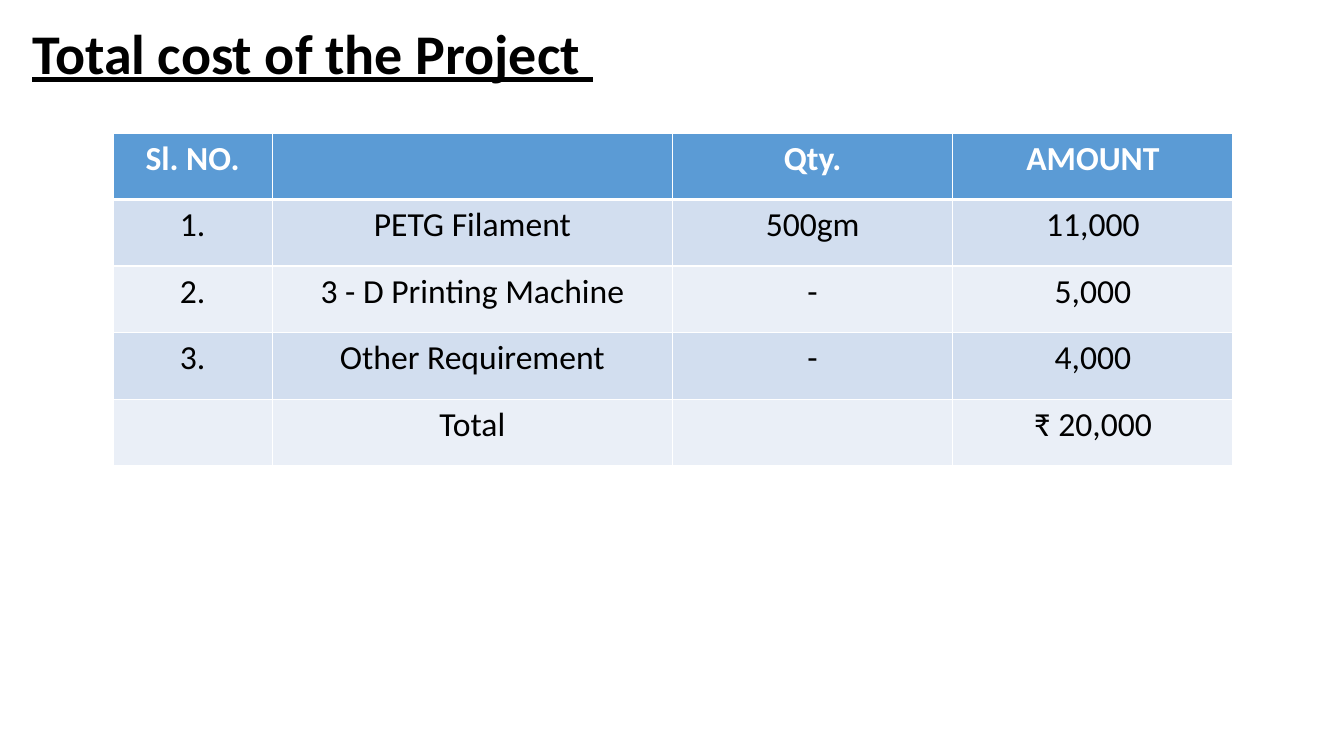
import pptx
import pptx.util
import pptx.dml.color
import pptx.enum.text
import pptx.oxml
import pptx.oxml.ns
from pptx.util import Inches, Pt

RGBColor = pptx.dml.color.RGBColor
PP_ALIGN = pptx.enum.text.PP_ALIGN

# Content
TITLE = "Total cost of the Project "
ROWS = [
    ("Sl. NO.", "", "Qty.", "AMOUNT"),
    ("1.", "PETG Filament", "500gm", "11,000"),
    ("2.", "3 - D Printing Machine", "-", "5,000"),
    ("3.", "Other Requirement", "-", "4,000"),
    ("", "Total", "", "₹ 20,000"),
]

# Look
FONT = "Calibri"
BLACK = RGBColor(0x00, 0x00, 0x00)
WHITE = RGBColor(0xFF, 0xFF, 0xFF)
HEADER = RGBColor(0x5B, 0x9B, 0xD5)
BANDS = [RGBColor(0xEA, 0xEF, 0xF7), RGBColor(0xD2, 0xDE, 0xEF)]

# Grid in inches
TABLE_LEFT, TABLE_TOP = 1.12, 1.32
COL_WIDTHS = [1.58, 3.97, 2.78, 2.78]
ROW_HEIGHT = 0.66


def style(p, size, color, bold, align):
    p.alignment = align
    font = p.font
    font.name, font.size, font.bold = FONT, Pt(size), bold
    font.color.rgb = color


def add_border(cell, side, width):
    ln = pptx.oxml.parse_xml(
        f'<a:ln{side} {pptx.oxml.ns.nsdecls("a")} w="{Pt(width)}">'
        f'<a:solidFill><a:srgbClr val="{WHITE}"/></a:solidFill></a:ln{side}>')
    cell._tc.get_or_add_tcPr().append(ln)


def add_title(s):
    title = s.shapes.title
    title.left, title.top = Inches(0.22), Inches(0.13)
    title.width, title.height = Inches(6.67), Inches(0.77)
    tf = title.text_frame
    tf.text = TITLE
    tf.word_wrap = True
    tf.auto_size = pptx.enum.text.MSO_AUTO_SIZE.SHAPE_TO_FIT_TEXT
    tf.vertical_anchor = pptx.enum.text.MSO_ANCHOR.TOP
    style(tf.paragraphs[0], 40, BLACK, True, PP_ALIGN.LEFT)
    tf.paragraphs[0].font.underline = True


def add_cost_table(s):
    table = s.shapes.add_table(
        len(ROWS), len(COL_WIDTHS), Inches(TABLE_LEFT), Inches(TABLE_TOP),
        Inches(sum(COL_WIDTHS)), Inches(ROW_HEIGHT * len(ROWS))).table
    for column, width in zip(table.columns, COL_WIDTHS):
        column.width = Inches(width)
    for i, row in enumerate(ROWS):
        table.rows[i].height = Inches(ROW_HEIGHT)
        is_header = i == 0
        # The rule under the header is heavier than the rest
        borders = {"L": 1, "R": 1, "T": 3 if i == 1 else 1, "B": 3 if is_header else 1}
        for j, text in enumerate(row):
            cell = table.cell(i, j)
            cell.text = text
            style(cell.text_frame.paragraphs[0], 24,
                  WHITE if is_header else BLACK, is_header, PP_ALIGN.CENTER)
            for side, width in borders.items():
                add_border(cell, side, width)
            cell.fill.solid()
            cell.fill.fore_color.rgb = HEADER if is_header else BANDS[i % 2]


def main():
    prs = pptx.Presentation()
    prs.slide_width, prs.slide_height = Inches(13.33), Inches(7.5)
    s = prs.slides.add_slide(prs.slide_layouts[5])
    add_title(s)
    add_cost_table(s)
    prs.save("out.pptx")


if __name__ == "__main__":
    main()
